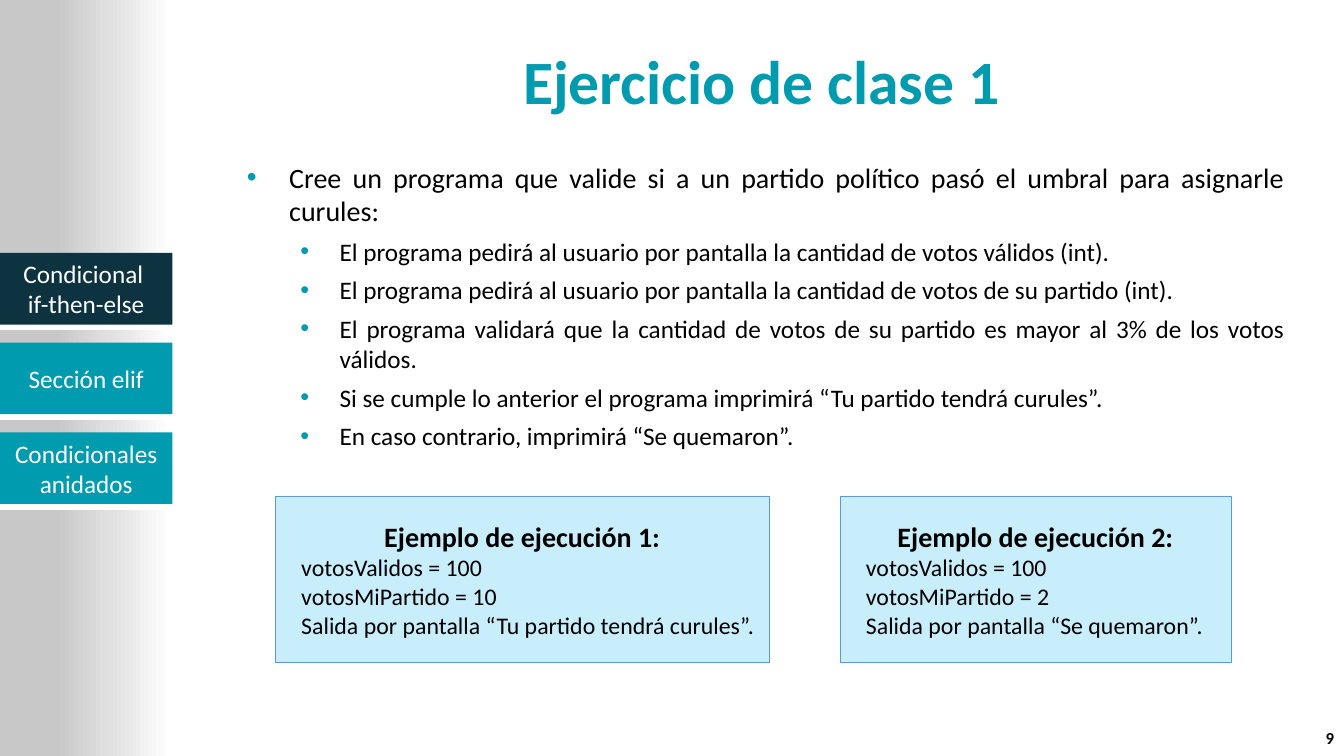
from copy import deepcopy

from lxml.etree import SubElement
from pptx import Presentation
from pptx.dml.color import RGBColor
from pptx.enum.shapes import MSO_SHAPE as SHAPE
from pptx.enum.text import MSO_ANCHOR as ANCHOR, PP_ALIGN as ALIGN
from pptx.oxml.ns import qn
from pptx.util import Inches, Pt

WHITE = RGBColor(0xFF, 0xFF, 0xFF)
BLACK = RGBColor(0, 0, 0)
TEAL = RGBColor(0x00, 0x9B, 0xAF)
NAVY = RGBColor(0x0D, 0x32, 0x40)
SKY = RGBColor(0x00, 0xB0, 0xF0)
BORDER = RGBColor(0x5B, 0x9B, 0xD5)
LIGHT_GRAY = RGBColor(0xE0, 0xE0, 0xE0)
GRAY = RGBColor(0xC8, 0xC8, 0xC8)

SECTIONS = [
    ("Condicional \vif-then-else", NAVY),
    ("Sección elif", TEAL),
    ("Condicionales anidados", TEAL),
]
TASK = "Cree un programa que valide si a un partido político pasó el umbral para asignarle curules:"
STEPS = [
    "El programa pedirá al usuario por pantalla la cantidad de votos válidos (int).",
    "El programa pedirá al usuario por pantalla la cantidad de votos de su partido (int).",
    "El programa validará que la cantidad de votos de su partido es mayor al 3% de los votos válidos.",
    "Si se cumple lo anterior el programa imprimirá “Tu partido tendrá curules”.",
    "En caso contrario, imprimirá “Se quemaron”.",
]
EXAMPLES = [
    (2.73, 4.9, 10, "Tu partido tendrá curules"),
    (8.33, 3.88, 2, "Se quemaron"),
]


class Deck:
    font = "Calibri"

    def __init__(self):
        self.prs = Presentation()
        self.prs.slide_width = Inches(13.33)
        self.prs.slide_height = Inches(7.5)
        self.s = self.prs.slides.add_slide(self.prs.slide_layouts[5])

    def frame(self, sp, anchor=ANCHOR.MIDDLE):
        tf = sp.text_frame
        tf.word_wrap = True
        tf.vertical_anchor = anchor
        return tf

    def paragraph(self, tf, text, size, color=BLACK, bold=False, align=ALIGN.LEFT,
                  indent=0, hanging=0, before=0, level=0):
        p = tf.paragraphs[0]
        if p.runs:
            p = tf.add_paragraph()
        p.text = text
        p.level = level
        p.alignment = align
        p.space_before = Pt(before)
        pPr = p._p.get_or_add_pPr()
        pPr.set("marL", str(Inches(indent)))
        pPr.set("indent", str(-Inches(hanging)))
        if hanging:
            clr = SubElement(pPr, qn("a:buClr"))
            SubElement(clr, qn("a:srgbClr"), val=str(TEAL))
            SubElement(pPr, qn("a:buFont"), typeface="Arial")
            SubElement(pPr, qn("a:buChar"), char="•")
        style = {"name": self.font, "size": Pt(size), "bold": bold}
        for r in p.runs:
            for key, value in style.items():
                setattr(r.font, key, value)
            r.font.color.rgb = color

    def title(self, text, *box):
        sp = self.s.shapes.title
        sp.left, sp.top, sp.width, sp.height = map(Inches, box)
        self.paragraph(self.frame(sp), text, 44, TEAL, True, ALIGN.CENTER)

    def text_box(self, *box, anchor=ANCHOR.TOP):
        return self.frame(self.s.shapes.add_textbox(*map(Inches, box)), anchor)

    def rect(self, *box, fill=None, line=None, width=0, opacity=None):
        sp = self.s.shapes.add_shape(SHAPE.RECTANGLE, *map(Inches, box))
        sp.shadow.inherit = False
        if fill is not None:
            sp.fill.solid()
            sp.fill.fore_color.rgb = fill
        if opacity is not None:
            clr = sp._element.spPr.find(".//" + qn("a:srgbClr"))
            SubElement(clr, qn("a:alpha"), val=str(opacity * 1000))
        if line is None:
            sp.line.fill.background()
        else:
            sp.line.color.rgb = line
            sp.line.width = Pt(width)
        return sp

    def gradient_band(self, *box, stops):
        sp = self.rect(*box)
        sp.fill.gradient()
        sp.fill.gradient_angle = 180
        gs_list = sp._element.spPr.find(".//" + qn("a:gsLst"))
        while len(gs_list) < len(stops):
            gs_list.append(deepcopy(gs_list[-1]))
        for stop, (position, color) in zip(sp.fill.gradient_stops, stops):
            stop.position = position
            stop.color.rgb = color

    def section(self, top, text, fill):
        self.rect(0, top + 0.71, 1.71, 0.05, fill=WHITE, line=WHITE, width=1.25)
        sp = self.rect(0, top, 1.71, 0.71, fill=fill)
        self.paragraph(self.frame(sp), text, 18, WHITE, align=ALIGN.CENTER)

    def example(self, number, left, width, votes, output):
        sp = self.rect(left, 4.92, width, 1.65, fill=SKY, line=BORDER, width=0.5, opacity=21)
        tf = self.frame(sp)
        self.paragraph(tf, f"Ejemplo de ejecución {number}:", 20, bold=True, align=ALIGN.CENTER)
        for text in ("votosValidos = 100", f"votosMiPartido = {votes}",
                     f"Salida por pantalla “{output}”."):
            self.paragraph(tf, text, 17, indent=0.16)


def main():
    deck = Deck()
    deck.gradient_band(-0.01, 0, 1.71, 7.5,
                       stops=[(0, WHITE), (0.36, LIGHT_GRAY), (0.67, GRAY)])
    for i, (text, fill) in enumerate(SECTIONS):
        deck.section(2.51 + 0.89 * i, text, fill)
    deck.title("Ejercicio de clase 1", 2.27, 0.24, 10.57, 1.11)

    body = deck.text_box(2.27, 1.54, 10.57, 5.1)
    deck.paragraph(body, TASK, 20, align=ALIGN.JUSTIFY, indent=0.5, hanging=0.42)
    for step in STEPS:
        deck.paragraph(body, step, 18, align=ALIGN.JUSTIFY, indent=1, hanging=0.39,
                       before=6, level=1)

    for number, example in enumerate(EXAMPLES, 1):
        deck.example(number, *example)
    page = deck.text_box(12.81, 7.15, 0.52, 0.34, anchor=ANCHOR.MIDDLE)
    deck.paragraph(page, "9", 12, bold=True, align=ALIGN.RIGHT)
    deck.prs.save("out.pptx")


if __name__ == "__main__":
    main()
